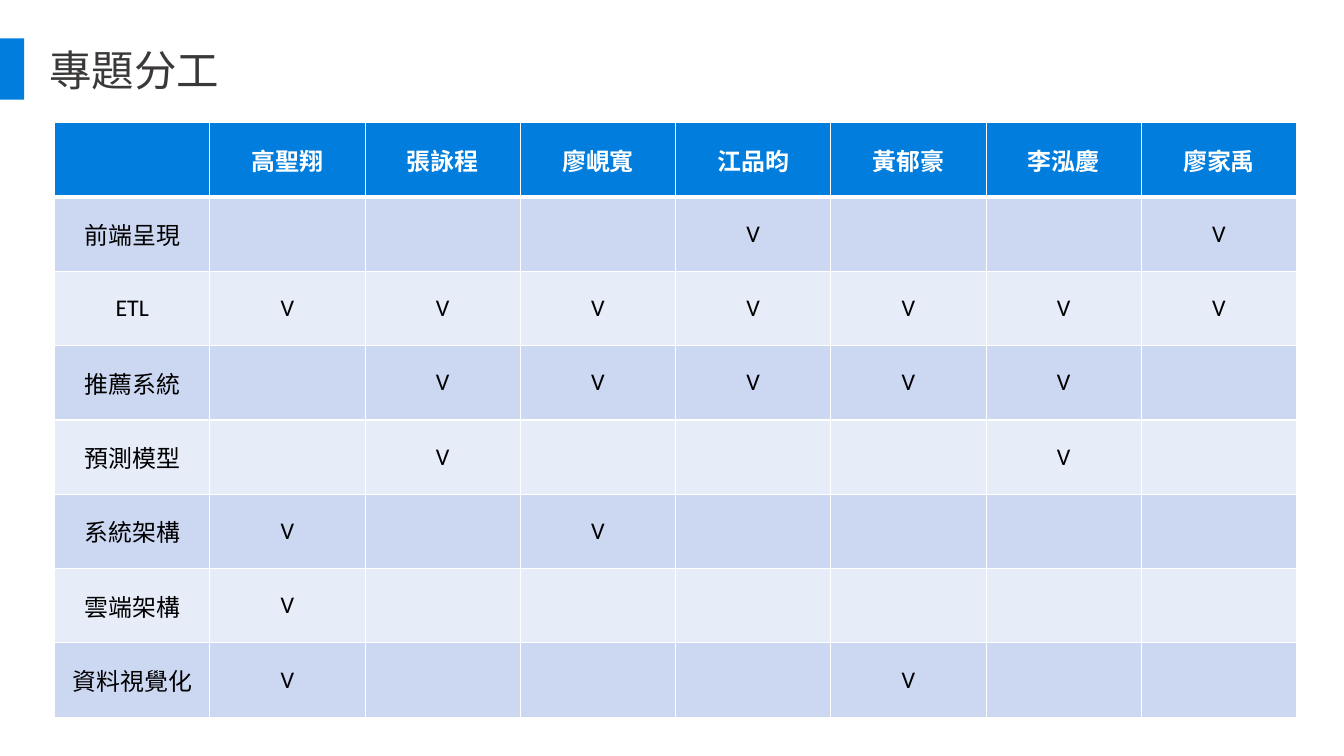
from lxml import etree
from pptx import Presentation
from pptx import util as u
from pptx.dml.color import RGBColor
from pptx.enum import shapes, text
from pptx.oxml import ns

COLORS = {
    "accent": "007DDD",
    "title": "3B3838",
    "band_dark": "CCD7F2",
    "band_light": "E7ECF9",
    "white": "FFFFFF",
    "black": "000000",
}
CJK_FONT = "Noto Sans CJK SC"
BODY_FONT = "Calibri"

MEMBERS = ["高聖翔", "張詠程", "廖峴寬", "江品昀", "黃郁豪", "李泓慶", "廖家禹"]
DUTIES = {
    "前端呈現": ["江品昀", "廖家禹"],
    "ETL": MEMBERS,
    "推薦系統": ["張詠程", "廖峴寬", "江品昀", "黃郁豪", "李泓慶"],
    "預測模型": ["張詠程", "李泓慶"],
    "系統架構": ["高聖翔", "廖峴寬"],
    "雲端架構": ["高聖翔"],
    "資料視覺化": ["高聖翔", "黃郁豪"],
}


def rgb(color):
    return RGBColor.from_string(COLORS[color])


def add_run(paragraph, words, size, font, color, bold=False):
    run = paragraph.add_run()
    run.text = words
    run.font.size = u.Pt(size)
    run.font.name = font
    run.font.bold = bold
    run.font.color.rgb = rgb(color)
    east_asian = etree.SubElement(run.font._element, ns.qn("a:ea"))
    east_asian.set("typeface", CJK_FONT)


def add_border(cell, side, points):
    properties = cell._tc.get_or_add_tcPr()
    line = etree.SubElement(properties, ns.qn(f"a:ln{side}"), w=str(u.Pt(points)))
    fill = etree.SubElement(line, ns.qn("a:solidFill"))
    etree.SubElement(fill, ns.qn("a:srgbClr"), val=COLORS["white"])


def draw_heading(slide, left, top, width, height):
    marker = slide.shapes.add_shape(
        shapes.MSO_SHAPE.RECTANGLE, left, top, u.Cm(0.64), height)
    marker.shadow.inherit = False
    marker.fill.solid()
    marker.fill.fore_color.rgb = rgb("accent")
    marker.line.fill.background()

    heading = slide.shapes.title
    heading.left, heading.top = left + u.Cm(1.04), top + u.Cm(0.02)
    heading.width, heading.height = width - u.Cm(1.04), height
    frame = heading.text_frame
    frame.word_wrap = True
    frame.auto_size = text.MSO_AUTO_SIZE.NONE
    frame.vertical_anchor = text.MSO_ANCHOR.MIDDLE
    frame.margin_left = frame.margin_right = u.Cm(0.27)
    frame.margin_top = frame.margin_bottom = u.Cm(0.13)
    paragraph = frame.paragraphs[0]
    paragraph.alignment = text.PP_ALIGN.LEFT
    add_run(paragraph, "專題分工", 32, CJK_FONT, "title")


def style_cell(cell, words, row):
    is_header = row == 0
    for side in "LR":
        add_border(cell, side, 1)
    add_border(cell, "T", 3 if row == 1 else 1)
    add_border(cell, "B", 3 if is_header else 1)
    band = "band_dark" if row % 2 else "band_light"
    cell.fill.solid()
    cell.fill.fore_color.rgb = rgb("accent" if is_header else band)
    cell.vertical_anchor = text.MSO_ANCHOR.MIDDLE
    paragraph = cell.text_frame.paragraphs[0]
    paragraph.alignment = text.PP_ALIGN.CENTER
    if words:
        font = CJK_FONT if is_header else BODY_FONT
        color = "white" if is_header else "black"
        add_run(paragraph, words, 18, font, color, is_header)


def draw_duties(slide, left, top, width, height):
    rows = [["", *MEMBERS]]
    for duty, people in DUTIES.items():
        rows.append([duty, *("V" if name in people else "" for name in MEMBERS)])
    duties = slide.shapes.add_table(
        len(rows), len(rows[0]), left, top, width, height).table
    for row, entries in enumerate(rows):
        for column, words in enumerate(entries):
            style_cell(duties.cell(row, column), words, row)


def main():
    deck = Presentation()
    deck.slide_width, deck.slide_height = u.Cm(35.71), u.Cm(20.09)
    slide = deck.slides.add_slide(deck.slide_layouts[5])
    draw_heading(slide, u.Cm(0), u.Cm(1.02), u.Cm(8.46), u.Cm(1.63))
    draw_duties(slide, u.Cm(1.45), u.Cm(3.26), u.Cm(33), u.Cm(15.8))
    deck.save("out.pptx")


if __name__ == "__main__":
    main()
